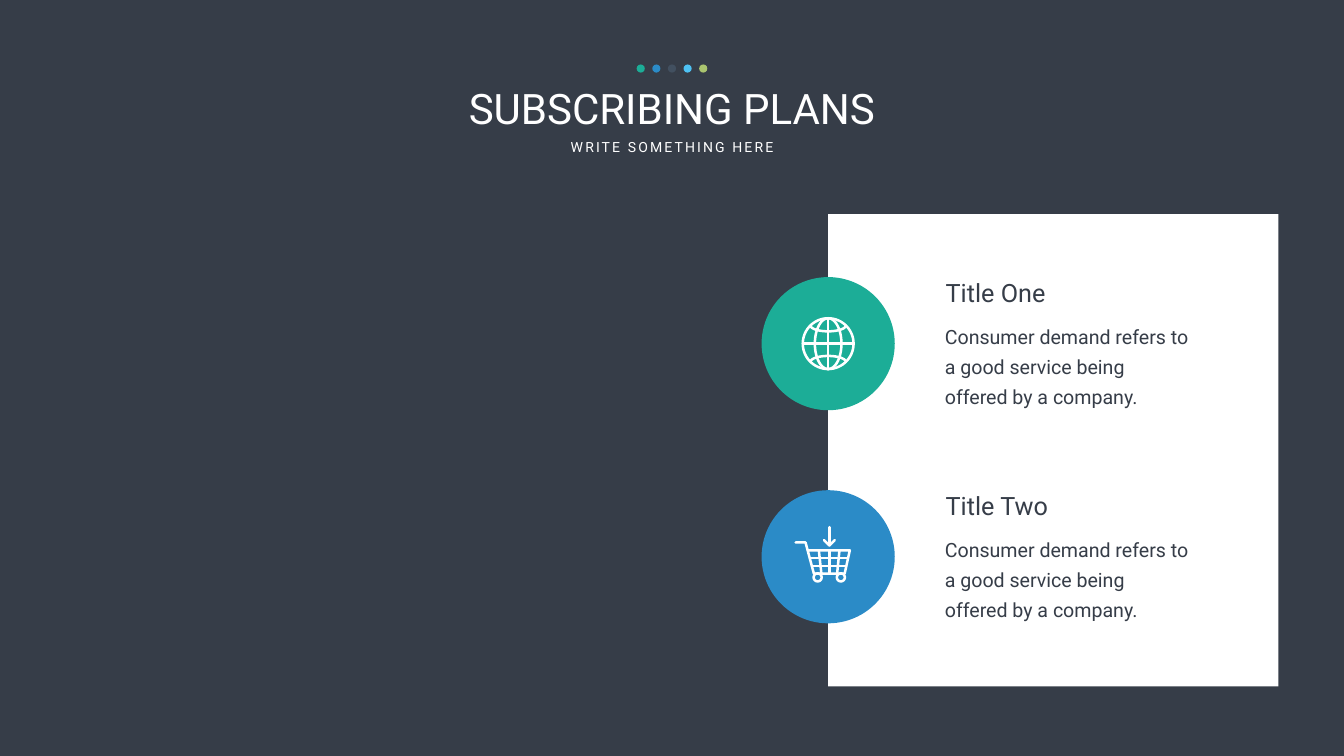
import math

from pptx import Presentation
from pptx.dml.color import RGBColor
from pptx.enum.shapes import MSO_SHAPE
from pptx.enum.text import MSO_AUTO_SIZE, PP_ALIGN
from pptx.oxml.ns import qn
from pptx.util import Cm, Pt

OVAL, RECT = MSO_SHAPE.OVAL, MSO_SHAPE.RECTANGLE
GROW = MSO_AUTO_SIZE.SHAPE_TO_FIT_TEXT
LEFT, CENTER = PP_ALIGN.LEFT, PP_ALIGN.CENTER

DARK, WHITE, GREEN, BLUE = "363D48", "FFFFFF", "1CAD97", "2B8BC7"
DOT_COLORS = [GREEN, BLUE, "425060", "4EC2F4", "AAC46F"]
DOT_SPAN = 3.15
BODY = "Consumer demand refers to a good service being offered by a company."
DISC_X, FIRST_Y, PLAN_STEP, DISC_SIZE = 41.73, 17.32, 10.74, 6.71
STROKE = 3.6


def rgb(color):
    return RGBColor.from_string(color)


def add_filled(shapes, kind, x, y, w, h, color):
    sp = shapes.add_shape(kind, Cm(x), Cm(y), Cm(w), Cm(h))
    sp.shadow.inherit = False
    sp.fill.solid()
    sp.fill.fore_color.rgb = rgb(color)
    sp.line.fill.background()


def add_text(s, text, x, y, w, h, size, color, align=LEFT, wrap=True,
             spacing=None, line_height=None, insets=None):
    """Add a one-paragraph box; spacing is the letter spacing in points."""
    tf = s.shapes.add_textbox(Cm(x), Cm(y), Cm(w), Cm(h)).text_frame
    frame = {"word_wrap": wrap, "auto_size": GROW}
    if insets:
        across, down = map(Cm, insets)
        frame.update(margin_left=across, margin_right=across,
                     margin_top=down, margin_bottom=down)
    for name, value in frame.items():
        setattr(tf, name, value)
    p = tf.paragraphs[0]
    p.alignment = align
    if line_height:
        p.line_spacing = Pt(line_height)
    r = p.add_run()
    r.text = text
    for name, value in {"size": Pt(size), "name": "Roboto"}.items():
        setattr(r.font, name, value)
    r.font.color.rgb = rgb(color)
    if spacing:
        r._r.get_or_add_rPr().set("spc", str(spacing * 100))


def arc(x, y, rx, ry, start=0, end=360, steps=60):
    angles = [math.radians(start + (end - start) * i / steps)
              for i in range(steps + 1)]
    return [(x + rx * math.cos(a), y + ry * math.sin(a)) for a in angles]


def globe_strokes():
    radius = 1.28
    return [
        arc(0, 0, radius, radius),
        arc(0, 0, 0.67, radius),
        [(-radius, 0), (radius, 0)],
        [(0, -radius), (0, radius)],
        arc(0, -0.92, 0.89, 0.3, 0, 180),
        arc(0, 0.92, 0.89, 0.3, 180, 360),
    ]


def cart_strokes():
    top, bottom, middle = -0.32, 0.85, 0.06
    frame = [(-1.64, -0.72), (-1.14, -0.72), (-0.72, bottom),
             (0.83, bottom), (1.09, top), (-1.03, top)]
    rows = [[(left, y), (right, y)]
            for left, right, y in [(-0.93, 1.0, 0.06), (-0.82, 0.91, 0.47)]]
    bars = [[(x1, top), (x2, bottom)]
            for x1, x2 in [(-0.47, -0.34), (middle, middle), (0.57, 0.45)]]
    wheels = [arc(x, 1.04, 0.2, 0.2) for x in (-0.53, 0.64)]
    arrow = [[(middle, -1.49), (middle, -0.57)],
             [(middle - 0.27, -0.84), (middle, -0.57),
              (middle + 0.27, -0.84)]]
    return [frame, *rows, *bars, *wheels, *arrow]


def add_icon(shapes, cx, cy, strokes):
    """Draw strokes, given in cm from the centre, as one white outline."""
    placed = [[(Cm(cx + x), Cm(cy + y)) for x, y in points]
              for points in strokes]
    builder = shapes.build_freeform(*placed[0][0])
    for i, (start, *rest) in enumerate(placed):
        if i:
            builder.move_to(*start)
        builder.add_line_segments(rest, close=False)
    sp = builder.convert_to_shape()
    sp.shadow.inherit = False
    sp.fill.background()
    sp.line.color.rgb = rgb(WHITE)
    sp.line.width = Pt(STROKE)
    sp._element.spPr.find(qn("a:ln")).set("cap", "rnd")


def add_header(s):
    add_text(s, "SUBSCRIBING PLANS", 19.57, 4.04, 28.58, 2.82, 60, WHITE,
             align=CENTER)
    add_text(s, "WRITE SOMETHING HERE", 28.34, 6.86, 11.05, 1.12, 20, WHITE,
             align=CENTER, wrap=False, spacing=3)
    dots = s.shapes.add_group_shape().shapes
    step = DOT_SPAN / (len(DOT_COLORS) - 1)
    for i, color in enumerate(DOT_COLORS):
        add_filled(dots, OVAL, 32.08 + i * step, 3.25, 0.41, 0.41, color)


def add_plan(s, title, cy, color, strokes):
    add_text(s, BODY, 47, cy - 1.6, 13.67, 5.08, 28, DARK,
             line_height=43, insets=(0.61, 0.3))
    add_text(s, title, 47.4, cy - 3.48, 11.05, 1.8, 36, DARK)
    shapes = s.shapes.add_group_shape().shapes
    add_filled(shapes, OVAL, DISC_X - DISC_SIZE / 2, cy - DISC_SIZE / 2,
               DISC_SIZE, DISC_SIZE, color)
    add_icon(shapes, DISC_X, cy, strokes)


def main():
    prs = Presentation()
    prs.slide_width, prs.slide_height = Cm(67.72), Cm(38.1)
    s = prs.slides.add_slide(prs.slide_layouts[6])
    s.background.fill.solid()
    s.background.fill.fore_color.rgb = rgb(DARK)
    add_header(s)
    add_filled(s.shapes, RECT, DISC_X, 10.79, 22.68, 23.8, WHITE)
    plans = [("Title One", GREEN, globe_strokes()),
             ("Title Two", BLUE, cart_strokes())]
    for i, (title, color, strokes) in enumerate(plans):
        add_plan(s, title, FIRST_Y + i * PLAN_STEP, color, strokes)
    prs.save("out.pptx")


if __name__ == "__main__":
    main()
